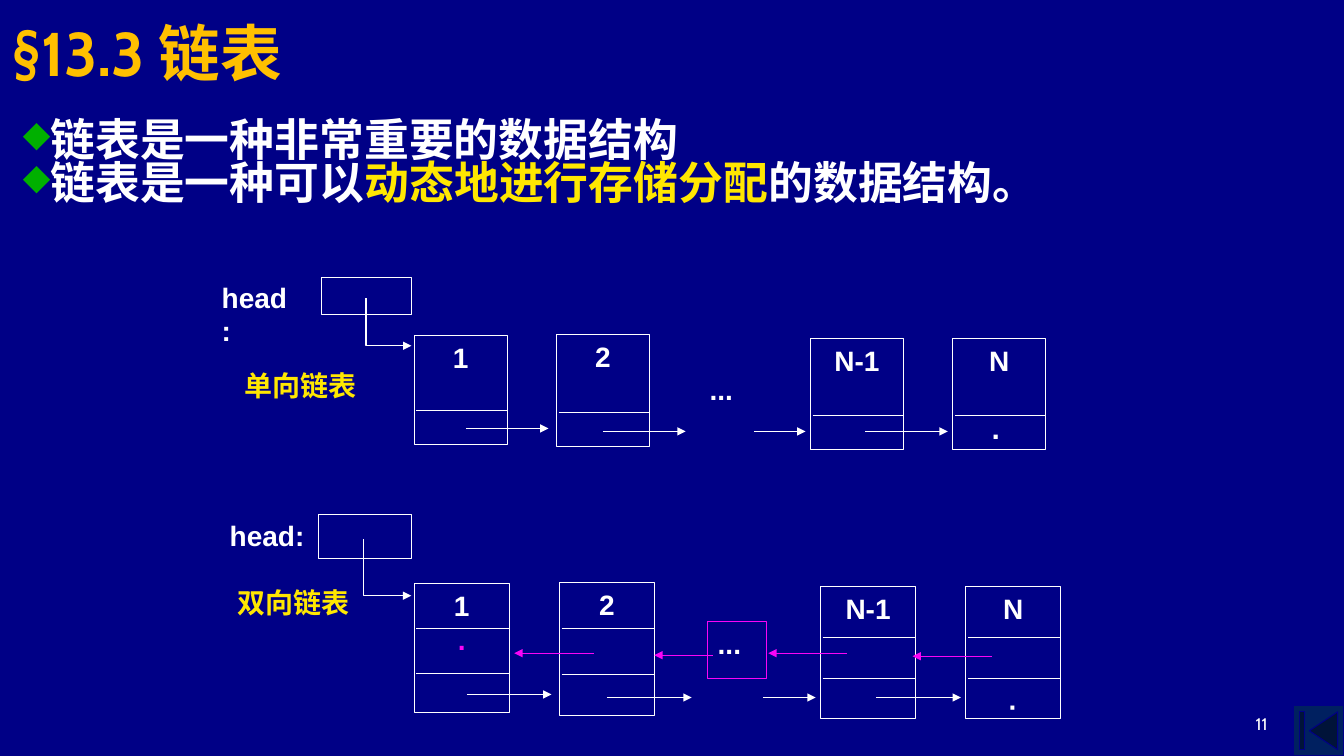
from lxml import etree
from pptx import Presentation
from pptx.dml.color import RGBColor
from pptx.enum.shapes import MSO_CONNECTOR, MSO_SHAPE
from pptx.enum.text import MSO_ANCHOR, PP_ALIGN
from pptx.oxml.ns import qn
from pptx.util import Inches, Pt

NAVY = RGBColor(0x00, 0x00, 0x86)
BUTTON_BLUE = RGBColor(0x00, 0x20, 0x60)
WHITE = RGBColor(0xFF, 0xFF, 0xFF)
YELLOW = RGBColor(0xFF, 0xE7, 0x01)
GOLD = RGBColor(0xFF, 0xC0, 0x00)
MAGENTA = RGBColor(0xF9, 0x05, 0xF6)
BULLET_GREEN = "00B000"

RECTANGLE = MSO_SHAPE.RECTANGLE
BUTTON = MSO_SHAPE.ACTION_BUTTON_BEGINNING
STRAIGHT = MSO_CONNECTOR.STRAIGHT
LEFT, CENTER, RIGHT = PP_ALIGN.LEFT, PP_ALIGN.CENTER, PP_ALIGN.RIGHT
TOP, MIDDLE, BOTTOM = MSO_ANCHOR.TOP, MSO_ANCHOR.MIDDLE, MSO_ANCHOR.BOTTOM

# Nodes: label, left, top, height, heights of the dividers on the slide
SINGLE_WIDTH = 0.92
SINGLE_NODES = [
    ("1", 4.11, 3.33, 1.08, [4.07]),
    ("2", 5.52, 3.32, 1.11, [4.09]),
    ("N-1", 8.04, 3.36, 1.1, [4.12]),
    ("N", 9.45, 3.36, 1.1, [4.12]),
]
DOUBLE_WIDTH = 0.94
DOUBLE_NODES = [
    ("1", 4.11, 5.79, 1.28, [6.24, 6.68]),
    ("2", 5.55, 5.78, 1.32, [6.24, 6.69]),
    ("N-1", 8.14, 5.82, 1.31, [6.32, 6.73]),
    ("N", 9.58, 5.82, 1.31, [6.32, 6.73]),
]
# Links: start x, end x, y
SINGLE_NEXT = [(4.62, 5.44, 4.25), (5.98, 6.8, 4.28), (7.48, 7.99, 4.28), (8.58, 9.4, 4.28)]
DOUBLE_NEXT = [(4.63, 5.47, 6.89), (6.02, 6.86, 6.92), (7.57, 8.09, 6.92), (8.69, 9.53, 6.92)]
DOUBLE_PREVIOUS = [(5.89, 5.1, 6.48), (7.07, 6.49, 6.5), (8.4, 7.62, 6.48), (9.84, 9.05, 6.51)]


def add_bullet(paragraph):
    properties = paragraph._p.get_or_add_pPr()
    properties.set("marL", "0")
    properties.set("indent", "0")
    color = etree.SubElement(properties, qn("a:buClr"))
    etree.SubElement(color, qn("a:srgbClr"), val=BULLET_GREEN)
    etree.SubElement(properties, qn("a:buSzPct"), val="80000")
    etree.SubElement(properties, qn("a:buChar"), char="◆")


def write(shape, *parts, size=20, font="Arial", color=WHITE, bold=True,
          align=LEFT, before=0, spacing=None, bullet=False):
    """Add one paragraph; a part is a text or a (text, color) pair."""
    frame = shape.text_frame
    paragraph = frame.add_paragraph() if frame.text else frame.paragraphs[0]
    paragraph.alignment = align
    paragraph.space_before = Pt(before)
    if spacing:
        paragraph.line_spacing = spacing
    if bullet:
        add_bullet(paragraph)
    for part in parts:
        text, part_color = (part, color) if isinstance(part, str) else part
        run = paragraph.add_run()
        run.text = text
        run.font.size = Pt(size)
        run.font.name = font
        run.font.bold = bold
        run.font.color.rgb = part_color


def add_label(slide, left, top, width, height, *parts, anchor=TOP, wrap=True, **style):
    label = slide.shapes.add_textbox(Inches(left), Inches(top), Inches(width), Inches(height))
    label.text_frame.word_wrap = wrap
    label.text_frame.vertical_anchor = anchor
    if parts:
        write(label, *parts, **style)
    return label


def style_outline(shape, color):
    shape.shadow.inherit = False
    shape.fill.background()
    shape.line.color.rgb = color
    shape.line.width = Pt(0.75)


def add_box(slide, left, top, width, height, color=WHITE, kind=RECTANGLE):
    box = slide.shapes.add_shape(kind, Inches(left), Inches(top), Inches(width), Inches(height))
    style_outline(box, color)
    box.text_frame.vertical_anchor = TOP
    return box


def add_arrowhead(shape):
    etree.SubElement(shape.line._get_or_add_ln(), qn("a:tailEnd"), type="triangle")


def add_line(slide, start_x, end_x, y, color=WHITE, arrow=False):
    line = slide.shapes.add_connector(
        STRAIGHT, Inches(start_x), Inches(y), Inches(end_x), Inches(y))
    line.line.color.rgb = color
    line.line.width = Pt(0.75)
    if arrow:
        add_arrowhead(line)
    etree.SubElement(line._element.spPr, qn("a:effectLst"))


def add_head_pointer(slide, left, top, right, bottom):
    """Draw the bent arrow from the head box to the first node."""
    builder = slide.shapes.build_freeform(Inches(left), Inches(top))
    builder.add_line_segments(
        [(Inches(left), Inches(bottom)), (Inches(right), Inches(bottom))], close=False)
    pointer = builder.convert_to_shape()
    style_outline(pointer, WHITE)
    add_arrowhead(pointer)


def add_nodes(slide, nodes, width):
    """Draw the nodes with their dividers and return the boxes."""
    boxes = []
    for label, left, top, height, dividers in nodes:
        box = add_box(slide, left, top, width, height)
        write(box, label, align=CENTER)
        for y in dividers:
            add_line(slide, left + 0.02, left + width, y)
        boxes.append(box)
    return boxes


def add_links(slide, links, color=WHITE):
    for start_x, end_x, y in links:
        add_line(slide, start_x, end_x, y, color, arrow=True)


def draw_single_list(slide):
    add_label(slide, 2.1, 2.73, 0.92, 0.37, "head:")
    add_label(slide, 2.33, 3.61, 1.55, 0.62, "单向链表", color=YELLOW)
    add_box(slide, 3.19, 2.75, 0.89, 0.37)
    add_head_pointer(slide, 3.63, 2.96, 4.08, 3.43)
    add_nodes(slide, SINGLE_NODES, SINGLE_WIDTH)
    add_label(slide, 6.94, 3.65, 0.56, 0.47, "...")
    add_links(slide, SINGLE_NEXT)
    add_label(slide, 9.74, 3.98, 0.55, 0.5, ".", size=24, font="Cabin")


def draw_double_list(slide):
    add_label(slide, 2.18, 5.09, 0.96, 0.44, "head:")
    add_label(slide, 2.26, 5.76, 1.5, 0.53, "双向链表", color=YELLOW)
    add_box(slide, 3.16, 5.1, 0.92, 0.44)
    add_head_pointer(slide, 3.61, 5.35, 4.08, 5.91)
    boxes = add_nodes(slide, DOUBLE_NODES, DOUBLE_WIDTH)
    write(boxes[0], ".", color=MAGENTA, align=CENTER)
    write(boxes[-1], "·", align=CENTER, before=46)
    write(add_box(slide, 7.02, 6.17, 0.58, 0.56, MAGENTA), "...")
    add_links(slide, DOUBLE_NEXT)
    add_links(slide, DOUBLE_PREVIOUS, MAGENTA)


def main():
    presentation = Presentation()
    presentation.slide_width = Inches(13.33)
    presentation.slide_height = Inches(7.5)
    slide = presentation.slides.add_slide(presentation.slide_layouts[6])
    slide.background.fill.solid()
    slide.background.fill.fore_color.rgb = NAVY

    button = add_box(slide, 12.83, 7, 0.5, 0.5, NAVY, BUTTON)
    button.fill.solid()
    button.fill.fore_color.rgb = BUTTON_BLUE
    add_label(slide, 9.56, 6.83, 3.11, 0.5, "11", anchor=BOTTOM,
              size=12, font="Cabin", bold=False, align=RIGHT)

    add_label(slide, 0.03, 0.08, 9.21, 0.87, "§13.3 链表", anchor=MIDDLE,
              size=44, font="Cabin", color=GOLD)
    points = add_label(slide, 0.13, 1.16, 10.37, 1.06, wrap=False)
    for parts in (
        ["链表是一种非常重要的数据结构"],
        ["链表是一种可以", ("动态地进行存储分配", YELLOW), "的数据结构。"],
    ):
        write(points, *parts, size=32, spacing=0.8, bullet=True)

    draw_single_list(slide)
    draw_double_list(slide)
    presentation.save("out.pptx")


if __name__ == "__main__":
    main()
